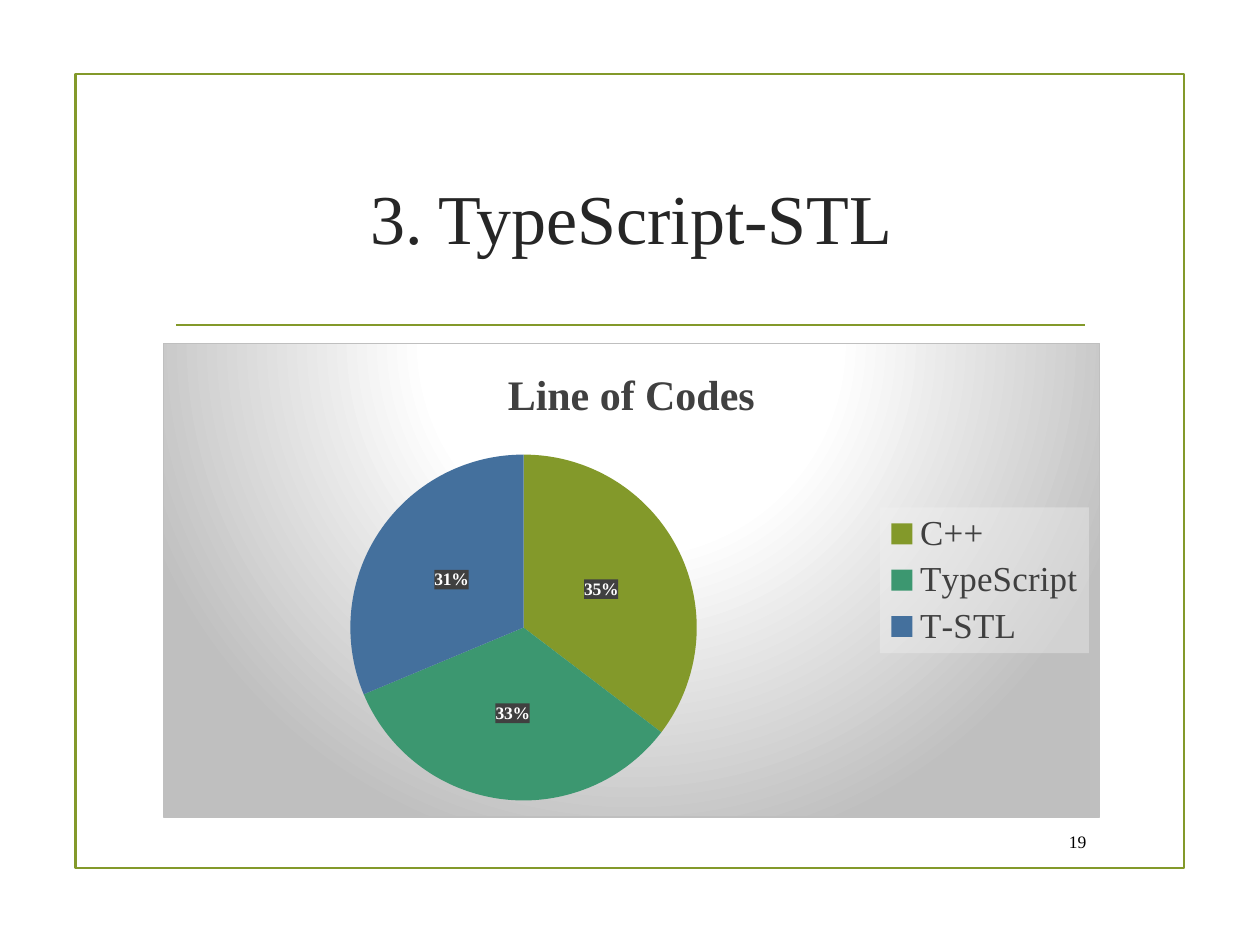
from lxml import etree
from pptx import Presentation
from pptx.chart.data import CategoryChartData
from pptx.dml.color import RGBColor
from pptx.enum.chart import XL_CHART_TYPE, XL_LABEL_POSITION, XL_LEGEND_POSITION
from pptx.enum.shapes import MSO_CONNECTOR, MSO_SHAPE
from pptx.enum.text import MSO_ANCHOR, PP_ALIGN
from pptx.oxml import parse_xml
from pptx.oxml.ns import nsdecls, qn
from pptx.util import Inches, Pt

PIE = XL_CHART_TYPE.PIE
LABEL_CENTER = XL_LABEL_POSITION.CENTER
LEGEND_RIGHT = XL_LEGEND_POSITION.RIGHT
STRAIGHT = MSO_CONNECTOR.STRAIGHT
RECTANGLE = MSO_SHAPE.RECTANGLE
MIDDLE = MSO_ANCHOR.MIDDLE
CENTER, RIGHT = PP_ALIGN.CENTER, PP_ALIGN.RIGHT

OLIVE = RGBColor(0x83, 0x99, 0x2A)
GREEN = RGBColor(0x3C, 0x97, 0x70)
BLUE = RGBColor(0x44, 0x70, 0x9D)
INK = RGBColor(0x26, 0x26, 0x26)
GRAY = RGBColor(0x40, 0x40, 0x40)
BLACK = RGBColor(0x00, 0x00, 0x00)
WHITE = RGBColor(0xFF, 0xFF, 0xFF)
SILVER = RGBColor(0xBF, 0xBF, 0xBF)
PALE = RGBColor(0xF2, 0xF2, 0xF2)

TITLE_ONLY = 5


def solid_fill(color, alpha):
    return (f'<a:solidFill><a:srgbClr val="{color}"><a:alpha val="{alpha * 1000}"/>'
            '</a:srgbClr></a:solidFill>')


def radial_fill(stops):
    stop_xml = "".join(
        f'<a:gs pos="{position * 1000}"><a:srgbClr val="{color}"/></a:gs>'
        for position, color in stops)
    return (f'<a:gradFill><a:gsLst>{stop_xml}</a:gsLst><a:path path="circle">'
            '<a:fillToRect l="50000" t="-80000" r="50000" b="180000"/>'
            '</a:path></a:gradFill>')


def format_chart_part(element, properties):
    """Give a chart element fill and line; its font must already be set."""
    shape_properties = parse_xml(
        f'<c:spPr {nsdecls("c", "a")}>{properties}</c:spPr>')
    element.find(qn("c:txPr")).addprevious(shape_properties)


def place_plot(chart, x, y, width, height):
    """Fix the inner plot area, in fractions of the chart."""
    plot_area = chart.element.find(".//" + qn("c:plotArea"))
    for layout in plot_area.findall(qn("c:layout")):
        plot_area.remove(layout)
    values = {"layoutTarget": "inner", "xMode": "edge", "yMode": "edge",
              "x": x, "y": y, "w": width, "h": height}
    settings = "".join(f'<c:{name} val="{value}"/>' for name, value in values.items())
    plot_area.insert(0, parse_xml(
        f'<c:layout {nsdecls("c")}><c:manualLayout>{settings}'
        '</c:manualLayout></c:layout>'))


class SlideBuilder:
    def __init__(self, slide, font_name, accent):
        self.slide = slide
        self.font_name = font_name
        self.accent = accent
        self.line_width = Pt(1.25)

    def set_font(self, font, size, color, bold=False):
        font.name = self.font_name
        font.size = Pt(size)
        font.color.rgb = color
        font.bold = bold

    def set_text(self, shape, text, size, color, alignment):
        frame = shape.text_frame
        frame.word_wrap = True
        frame.vertical_anchor = MIDDLE
        paragraph = frame.paragraphs[0]
        paragraph.text = text
        paragraph.alignment = alignment
        self.set_font(paragraph.font, size, color)

    def frame(self, left, top, width, height):
        shape = self.slide.shapes.add_shape(RECTANGLE, left, top, width, height)
        shape.shadow.inherit = False
        shape.fill.background()
        shape.line.color.rgb = self.accent
        shape.line.width = self.line_width

    def rule(self, left, right, y):
        connector = self.slide.shapes.add_connector(STRAIGHT, left, y, right, y)
        connector.line.color.rgb = self.accent
        connector.line.width = self.line_width
        properties = connector.element.find(qn("p:spPr"))
        etree.SubElement(properties, qn("a:effectLst"))

    def title(self, text, left, top, width, height):
        shape = self.slide.shapes.title
        shape.left, shape.top, shape.width, shape.height = left, top, width, height
        self.set_text(shape, text, 40, INK, CENTER)

    def page_number(self, text, left, top, width, height):
        shape = self.slide.shapes.add_textbox(left, top, width, height)
        self.set_text(shape, text, 10, BLACK, RIGHT)

    def pie_chart(self, title, shares, colors, left, top, width, height):
        data = CategoryChartData()
        data.categories = list(shares)
        data.add_series("Series 1", list(shares.values()))
        chart = self.slide.shapes.add_chart(
            PIE, left, top, width, height, data).chart
        self.set_font(chart.font, 10, BLACK)

        chart.has_title = True
        title_frame = chart.chart_title.text_frame
        title_frame.text = title
        self.set_font(title_frame.paragraphs[0].font, 24, GRAY, bold=True)

        chart.has_legend = True
        chart.legend.position = LEGEND_RIGHT
        chart.legend.include_in_layout = False
        self.set_font(chart.legend.font, 20, GRAY)

        plot = chart.plots[0]
        plot.vary_by_categories = True
        for index, color in enumerate(colors):
            fill = plot.series[0].points[index].format.fill
            fill.solid()
            fill.fore_color.rgb = color

        plot.has_data_labels = True
        labels = plot.data_labels
        labels.show_percentage = True
        labels.show_value = False
        labels.number_format = "0%"
        labels.number_format_is_linked = False
        labels.position = LABEL_CENTER
        self.set_font(labels.font, 10, WHITE, bold=True)

        place_plot(chart, 0.2, 0.23, 0.37, 0.74)
        border = (f'<a:ln w="{Pt(0.75)}"><a:solidFill><a:srgbClr val="{SILVER}"/>'
                  '</a:solidFill></a:ln>')
        background = radial_fill([(0, WHITE), (39, WHITE), (100, SILVER)])
        space = chart.element
        format_chart_part(space, background + border)
        format_chart_part(space.find(".//" + qn("c:legend")), solid_fill(PALE, 39))
        format_chart_part(space.find(".//" + qn("c:dLbls")), solid_fill(GRAY, 90))


def main():
    presentation = Presentation()
    presentation.slide_width = Inches(10)
    presentation.slide_height = Inches(7.5)
    slide = presentation.slides.add_slide(presentation.slide_layouts[TITLE_ONLY])
    builder = SlideBuilder(slide, "Times New Roman", OLIVE)

    content_left, content_width = Inches(1.29), Inches(7.44)
    builder.frame(Inches(0.6), Inches(0.59), Inches(8.8), Inches(6.3))
    builder.rule(Inches(1.4), Inches(8.61), Inches(2.58))
    builder.title("3. TypeScript-STL",
                  content_left, Inches(1), content_width, Inches(1.43))
    builder.pie_chart("Line of Codes", {"C++": 35, "TypeScript": 33, "T-STL": 31},
                      [OLIVE, GREEN, BLUE],
                      content_left, Inches(2.72), content_width, Inches(3.77))
    builder.page_number("19", Inches(8.29), Inches(6.52), Inches(0.43), Inches(0.31))

    presentation.save("out.pptx")


if __name__ == "__main__":
    main()
